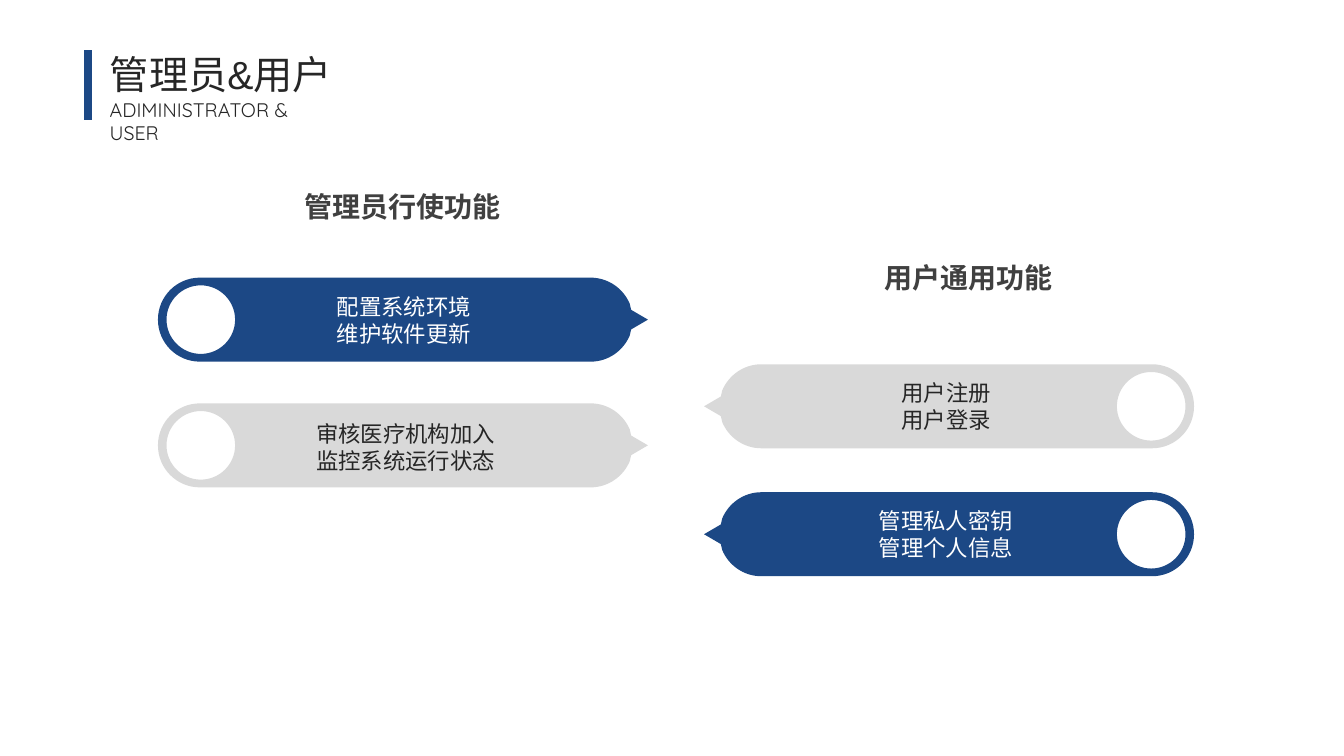
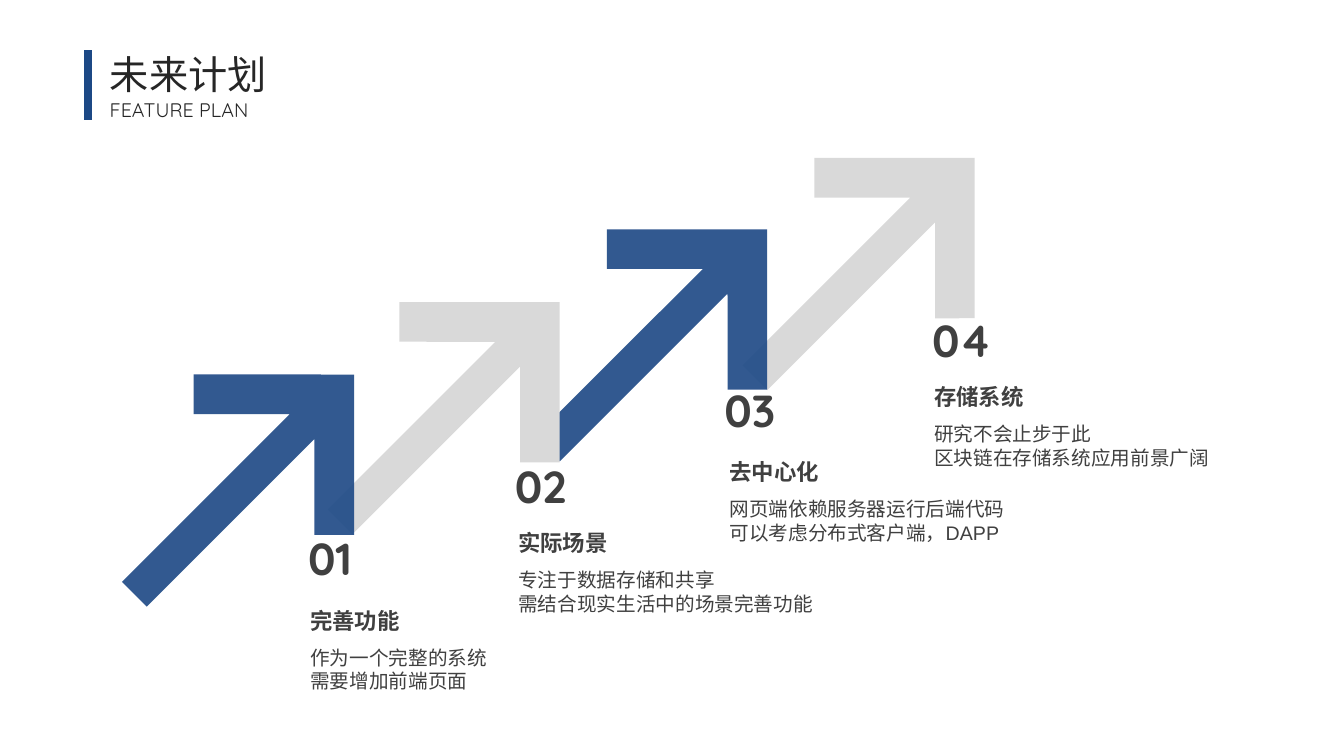
from dataclasses import dataclass

from lxml import etree
from pptx import Presentation
from pptx.dml.color import RGBColor
from pptx.enum import shapes, text
from pptx.oxml.ns import qn
from pptx.util import Pt


@dataclass(frozen=True)
class Theme:
    blue: str = "1C4885"
    grey: str = "D9D9D9"
    white: str = "FFFFFF"
    dark: str = "262626"
    soft: str = "404040"
    body_font: str = "Arial"
    accent_font: str = "Quicksand"
    title: int = 28
    number: int = 32
    heading: int = 20
    label: int = 16
    small: int = 14


THEME = Theme()
ALIGN = text.PP_ALIGN

# Roles: heading with its left and top; pills with place, right and top of the text, fill, text colour, lines
ROLES = [
    dict(heading="管理员行使功能", at=(184.5, 131.8), turn=90, pills=[
        ((257.8, 53.3), (343.4, 205.9), THEME.blue, THEME.white, ["配置系统环境", "维护软件更新"]),
        ((257.8, 143.1), (360.6, 296.5), THEME.grey, THEME.dark, ["审核医疗机构加入", "监控系统运行状态"]),
    ]),
    dict(heading="用户通用功能", at=(588.5, 182.6), turn=270, pills=[
        ((647.9, 115.2), (715, 267), THEME.grey, THEME.dark, ["用户注册", "用户登录"]),
        ((647.9, 206.6), (730.6, 358.5), THEME.blue, THEME.white, ["管理私人密钥", "管理个人信息"]),
    ]),
]

# Plan steps: heading, lines, place of the arrow, of the number and of the heading
STEPS = [
    ("完善功能", ["作为一个完整的系统", "需要增加前端页面"],
     (63.4, 265), (213, 375.4), (214.6, 430)),
    ("实际场景", ["专注于数据存储和共享", "需结合现实生活中的场景完善功能"],
     (210.3, 213.3), (360.7, 324), (363.2, 374.4)),
    ("去中心化", ["网页端依赖服务器运行后端代码", "可以考虑分布式客户端，DAPP"],
     (358.5, 161.3), (510.3, 270), (514, 323.7)),
    ("存储系统", ["研究不会止步于此", "区块链在存储系统应用前景广阔"],
     (506.7, 110.3), (658.8, 219.6), (660.2, 270.2)),
]


def circle(x, y, r):
    k = 0.55 * r
    return [[(x, y - r)],
            [(x - k, y - r), (x - r, y - k), (x - r, y)],
            [(x - r, y + k), (x - k, y + r), (x, y + r)],
            [(x + k, y + r), (x + r, y + k), (x + r, y)],
            [(x + r, y - k), (x + k, y - r), (x, y - r)]]


# Outlines are lists of segments: one point is a line, three points are a curve
PILL = [[(0, 320)], [(0, 41)], [(0, 28.3), (7.8, 17.6), (18.7, 13)], [(23, 12)], [(30, 0)], [(37, 12)],
        [(41.3, 13)], [(52.2, 17.6), (60, 28.3), (60, 41)], [(60, 320)],
        [(60, 336.6), (46.6, 350), (30, 350)], [(13.4, 350), (0, 336.6), (0, 320)]]
PILL_HOLE = circle(30, 319.4, 24.5)
ARROW = [[point] for point in [
    (0, 81), (81, 0), (101, 20), (52.6, 68.5), (222, 68.5),
    (222, 93.5), (52.6, 93.5), (101, 142), (81, 162)]]


def rgb(colour):
    return RGBColor.from_string(colour)


def write(frame, lines, size, colour=THEME.soft, font=THEME.body_font, bold=False, align=ALIGN.LEFT):
    frame.word_wrap = True
    frame.auto_size = text.MSO_AUTO_SIZE.NONE
    frame.vertical_anchor = text.MSO_ANCHOR.TOP
    for index, line in enumerate(lines):
        paragraph = frame.add_paragraph() if index else frame.paragraphs[0]
        paragraph.alignment = align
        run = paragraph.add_run()
        run.text = line
        run.font.size, run.font.name, run.font.bold = Pt(size), font, bold
        run.font.color.rgb = rgb(colour)


def add_text(slide, box, lines, size, **style):
    write(slide.shapes.add_textbox(*map(Pt, box)).text_frame, lines, size, **style)


def bend(outline, segments):
    """Turn the three lines of each curved segment into one Bezier curve."""
    lines = iter(list(outline._element.iter(qn("a:lnTo"))))
    for segment in segments:
        parts = [next(lines) for _ in segment]
        if len(parts) == 3:
            curve = etree.Element(qn("a:cubicBezTo"))
            parts[0].addprevious(curve)
            for part in parts:
                curve.append(part[0])
                part.getparent().remove(part)


def add_outline(slide, at, contours, turn, fill, alpha=None):
    """Draw closed contours as one turned shape; an inner contour is a hole."""
    builder = slide.shapes.build_freeform(*map(Pt, contours[0][0][0]))
    for index, (start, *segments) in enumerate(contours):
        if index:
            builder.move_to(*map(Pt, start[0]))
        points = [(Pt(x), Pt(y)) for segment in segments for x, y in segment]
        builder.add_line_segments(points, close=True)
    outline = builder.convert_to_shape(*map(Pt, at))
    bend(outline, [segment for contour in contours for segment in contour[1:]])
    outline.rotation = turn
    outline.shadow.inherit = False
    outline.line.fill.background()
    outline.fill.solid()
    outline.fill.fore_color.rgb = rgb(fill)
    if alpha:
        colour = outline._element.spPr.find(qn("a:solidFill"))[0]
        etree.SubElement(colour, qn("a:alpha"), val=str(alpha * 1000))


def add_titled_slide(deck, title, subtitle):
    slide = deck.slides.add_slide(deck.slide_layouts[5])
    heading = slide.shapes.title
    heading.left, heading.top, heading.width, heading.height = map(Pt, (71.3, 32.4, 200, 41))
    write(heading.text_frame, [title], THEME.title, colour=THEME.dark)
    add_text(slide, (71.3, 66.2, 174.2, 24.5), [subtitle], THEME.small, colour=THEME.dark,
             font=THEME.accent_font)
    bar = slide.shapes.add_connector(shapes.MSO_CONNECTOR.STRAIGHT, *map(Pt, (62.8, 36, 62.8, 85.7)))
    bar.line.color.rgb = rgb(THEME.blue)
    bar.line.width = Pt(6)
    etree.SubElement(bar._element.spPr, qn("a:effectLst"))
    return slide


def build_roles(deck):
    slide = add_titled_slide(deck, "管理员&用户", "ADIMINISTRATOR & USER")
    for role in ROLES:
        add_text(slide, (*role["at"], 206.6, 31.5), [role["heading"]], THEME.heading,
                 bold=True, align=ALIGN.CENTER)
        for at, (text_right, text_top), fill, colour, lines in role["pills"]:
            add_outline(slide, at, [PILL, PILL_HOLE], role["turn"], fill)
            add_text(slide, (text_right - 178, text_top, 178, 46), lines, THEME.label,
                     colour=colour, align=ALIGN.RIGHT)


def build_plan(deck):
    slide = add_titled_slide(deck, "未来计划", "FEATURE PLAN")
    for index, (_, _, arrow_at, _, _) in reversed(list(enumerate(STEPS))):
        fill, alpha = (THEME.grey, None) if index % 2 else (THEME.blue, 90)
        add_outline(slide, arrow_at, [ARROW], 135, fill, alpha)
    for number, (heading, lines, _, number_at, (left, top)) in enumerate(STEPS, 1):
        add_text(slide, (*number_at, 58.3, 46), [f"{number:02}"], THEME.number,
                 font=THEME.accent_font, bold=True)
        add_text(slide, (left, top, 175, 26.6), [heading], THEME.label, bold=True)
        add_text(slide, (left, top + 27.8, 225.4, 41), lines, THEME.small)


def main():
    deck = Presentation()
    deck.slide_width, deck.slide_height = Pt(960), Pt(540)
    build_roles(deck)
    build_plan(deck)
    deck.save("out.pptx")


if __name__ == "__main__":
    main()
